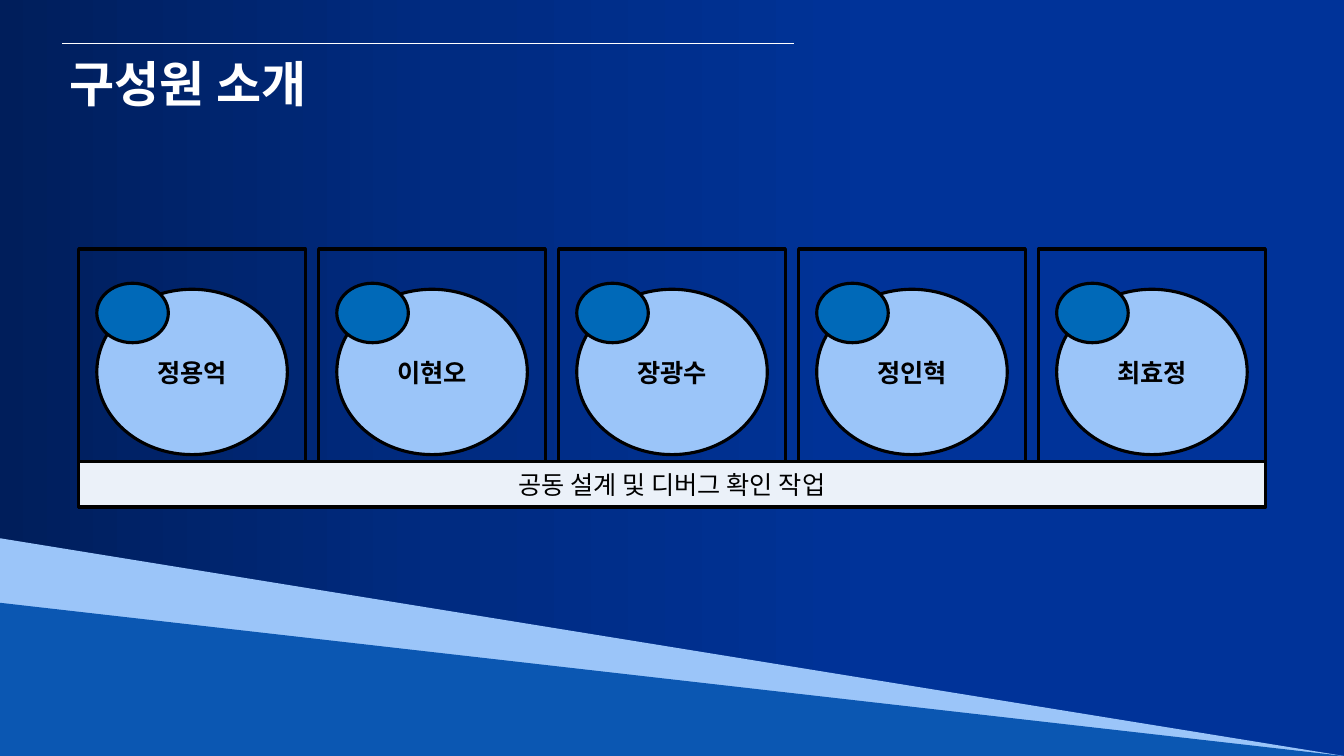
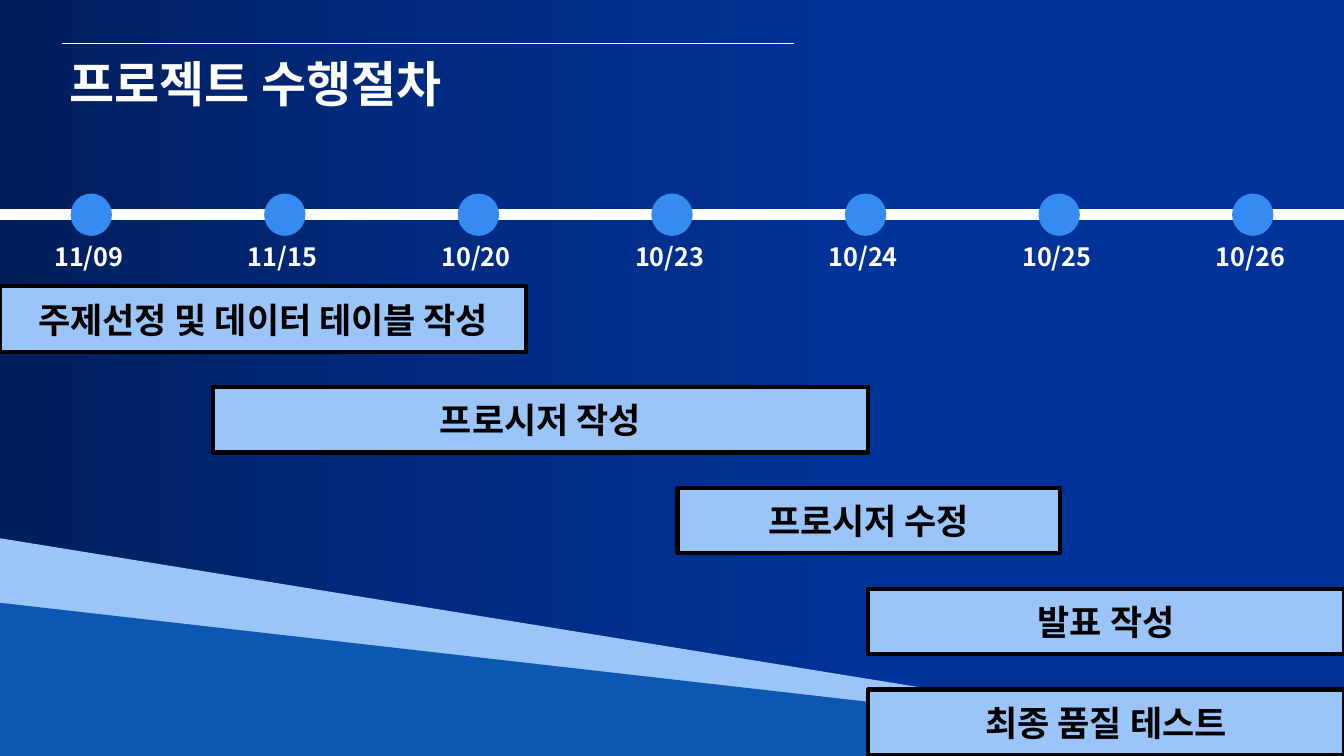
"""Build two project slides: the team members and the project schedule."""
from copy import deepcopy

from lxml import etree
from pptx import Presentation
from pptx.dml.color import RGBColor
from pptx.enum.shapes import MSO_CONNECTOR, MSO_SHAPE
from pptx.enum.text import MSO_ANCHOR, MSO_AUTO_SIZE, PP_ALIGN
from pptx.oxml.ns import qn
from pptx.util import Inches, Pt

RECT, OVAL, WEDGE = MSO_SHAPE.RECTANGLE, MSO_SHAPE.OVAL, MSO_SHAPE.RIGHT_TRIANGLE
LEFT, CENTER = PP_ALIGN.LEFT, PP_ALIGN.CENTER
TOP, MIDDLE = MSO_ANCHOR.TOP, MSO_ANCHOR.MIDDLE
FONT = "Noto Sans CJK KR"
WIDTH, HEIGHT = 13.33, 7.5
COLORS = {
    "night": "001E5B", "navy": "002B81", "royal": "003399",
    "sky": "9BC5F9", "wave": "0B57B2", "badge": "0069B8",
    "dot": "368BF2", "pale": "EBF1F9", "white": "FFFFFF", "black": "000000",
}
RGB = {name: RGBColor.from_string(value) for name, value in COLORS.items()}


def add_block(slide, kind, box, fill=None, line=None, weight=2.25):
    """Add a flat preset shape; box is left, top, width, height in inches."""
    block = slide.shapes.add_shape(kind, *map(Inches, box))
    block.shadow.inherit = False
    if fill:
        block.fill.solid()
        block.fill.fore_color.rgb = RGB[fill]
    else:
        block.fill.background()
    if line:
        block.line.color.rgb = RGB[line]
        block.line.width = Pt(weight)
    else:
        block.line.fill.background()
    return block


def write(holder, text, size, color="black", bold=True, align=CENTER, anchor=MIDDLE):
    """Write one formatted run into a shape."""
    frame = holder.text_frame
    frame.vertical_anchor = anchor
    paragraph = frame.paragraphs[0]
    paragraph.alignment = align
    run = paragraph.add_run()
    run.text = text
    run.font.size = Pt(size)
    run.font.bold = bold
    run.font.color.rgb = RGB[color]
    run.font.name = FONT
    for properties in holder.element.iter(qn("a:rPr")):
        etree.SubElement(properties, qn("a:ea"), typeface=FONT)


prs = Presentation()
prs.slide_width, prs.slide_height = Inches(WIDTH), Inches(HEIGHT)

backdrop = prs.slide_master.background.fill
backdrop.gradient()
backdrop.gradient_angle = 0
stop_list = prs.slide_master.element.find(".//" + qn("a:gsLst"))
stop_list.append(deepcopy(stop_list[-1]))
for stop, (position, shade) in zip(
    backdrop.gradient_stops, [(0, "night"), (0.33, "navy"), (0.66, "royal")]
):
    stop.position = position
    stop.color.rgb = RGB[shade]

slides = []
for heading, heading_width in [("구성원 소개", 2.64), ("프로젝트 수행절차", 4.03)]:
    slide = prs.slides.add_slide(prs.slide_layouts[5])
    for wedge_height, shade in [(2.16, "sky"), (1.52, "wave")]:
        add_block(slide, WEDGE, (0, HEIGHT - wedge_height, WIDTH, wedge_height), shade)
    rule = slide.shapes.add_connector(
        MSO_CONNECTOR.STRAIGHT, *map(Inches, (0.62, 0.43, 7.88, 0.43))
    )
    rule.line.color.rgb = RGB["white"]
    rule.line.width = Pt(0.5)
    etree.SubElement(rule.element.find(qn("p:spPr")), qn("a:effectLst"))
    title = slide.shapes.title
    title.left, title.top = Inches(0.59), Inches(0.48)
    title.width, title.height = Inches(heading_width), Inches(0.69)
    title.text_frame.word_wrap = False
    title.text_frame.auto_size = MSO_AUTO_SIZE.SHAPE_TO_FIT_TEXT
    write(title, heading, 35, "white", align=LEFT, anchor=TOP)
    slides.append(slide)
team, schedule = slides

MEMBER_LEFT, MEMBER_PITCH, MEMBER_WIDTH = 0.78, 2.38, 2.25
MEMBERS = ["정용억", "이현오", "장광수", "정인혁", "최효정"]
for column, member in enumerate(MEMBERS):
    left = MEMBER_LEFT + column * MEMBER_PITCH
    add_block(team, RECT, (left, 2.47, MEMBER_WIDTH, 2.56), line="black")
    portrait = add_block(team, OVAL, (left + 0.18, 2.87, 1.89, 1.64), "sky", "black")
    write(portrait, member, 18)
    add_block(team, OVAL, (left + 0.18, 2.81, 0.71, 0.59), "badge", "black")
team_width = (len(MEMBERS) - 1) * MEMBER_PITCH + MEMBER_WIDTH
shared_work = add_block(
    team, RECT, (MEMBER_LEFT, 4.58, team_width, 0.45), "pale", "black"
)
write(shared_work, "공동 설계 및 디버그 확인 작업", 18, bold=False)

DATE_PITCH = 1.92
DATES = ["11/09", "11/15", "10/20", "10/23", "10/24", "10/25", "10/26"]
add_block(schedule, RECT, (0, 2.08, WIDTH, 0.1), "white", "white", 1)
for column, date in enumerate(DATES):
    offset = column * DATE_PITCH
    add_block(schedule, OVAL, (0.7 + offset, 1.92, 0.41, 0.42), "dot")
    date_label = schedule.shapes.add_textbox(
        *map(Inches, (0.44 + offset, 2.34, 0.94, 0.4))
    )
    date_label.text_frame.word_wrap = True
    write(date_label, date, 18, "white", align=LEFT, anchor=TOP)

TASKS = [
    ("주제선정 및 데이터 테이블 작성", 0, 5.22),
    ("프로시저 작성", 2.11, 8.61),
    ("프로시저 수정", 6.72, 10.51),
    ("발표 작성", 8.61, WIDTH),
    ("최종 품질 테스트", 8.61, WIDTH),
]
for row, (task, start, end) in enumerate(TASKS):
    bar = add_block(
        schedule, RECT, (start, 2.84 + row, end - start, 0.65), "sky", "black", 3
    )
    write(bar, task, 25)

prs.save("out.pptx")
